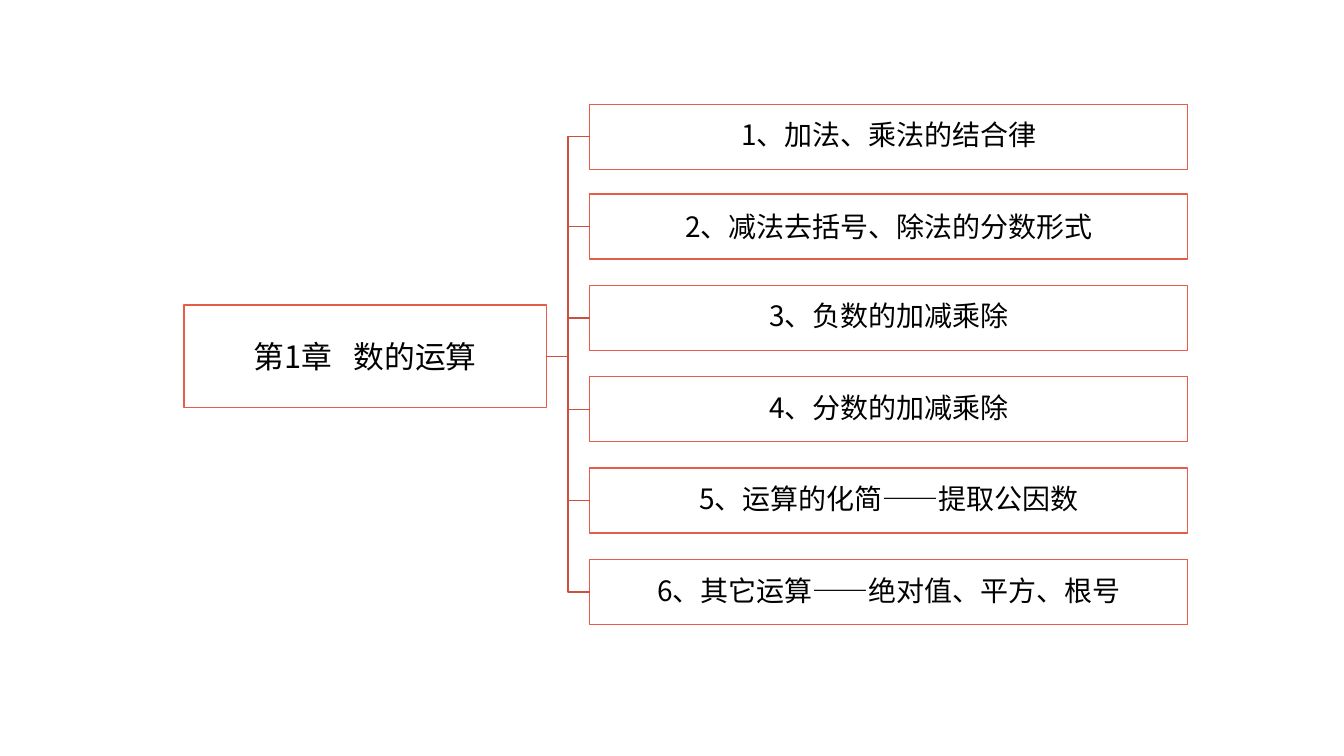
from dataclasses import dataclass

from pptx import Presentation, oxml, util as u
from pptx.dml.color import RGBColor
from pptx.enum import shapes, text

FONT = "Noto Sans CJK SC"
BLACK = RGBColor(0x00, 0x00, 0x00)
WHITE = RGBColor(0xFF, 0xFF, 0xFF)
BORDER = RGBColor(0xE7, 0x5B, 0x47)
BRANCH = RGBColor(0xCC, 0x50, 0x3E)

TOPIC_LEFT, TOPIC_WIDTH, TOPIC_HEIGHT = 11.7, 11.87, 1.29
FIRST_TOP, SECOND_TOP, LAST_TOP = 2.07, 3.85, 11.1
RIGHT_SITE, LEFT_SITE = 3, 1
WORD_GAP = 20

FRAME_FORMAT = {
    "word_wrap": True,
    "auto_size": text.MSO_AUTO_SIZE.NONE,
    "vertical_anchor": text.MSO_ANCHOR.MIDDLE,
    "margin_left": u.Inches(0.03),
    "margin_right": u.Inches(0.03),
    "margin_top": u.Inches(0.03),
    "margin_bottom": u.Inches(0.03),
}


@dataclass
class Topic:
    label: str
    line_spacing: float = 0.9


TOPICS = [
    Topic("1、加法、乘法的结合律"),
    Topic("2、减法去括号、除法的分数形式", 1.0),
    Topic("3、负数的加减乘除"),
    Topic("4、分数的加减乘除"),
    Topic("5、运算的化简——提取公因数"),
    Topic("6、其它运算——绝对值、平方、根号"),
]


def style_box(s, parts: list[str], size: int, line_spacing: float) -> None:
    s.fill.solid()
    s.fill.fore_color.rgb = WHITE
    s.line.color.rgb = BORDER
    s.line.width = u.Pt(2)
    tf = s.text_frame
    for name, value in FRAME_FORMAT.items():
        setattr(tf, name, value)
    p = tf.paragraphs[0]
    p.alignment = text.PP_ALIGN.CENTER
    p.line_spacing = line_spacing
    for part in parts:
        r = p.add_run()
        r.text = part
        for name, value in {"size": u.Pt(size), "name": FONT}.items():
            setattr(r.font, name, value)
        r.font.color.rgb = BLACK
        props = r._r.get_or_add_rPr()
        east_asian = oxml.xmlchemy.OxmlElement("a:ea")
        east_asian.set("typeface", FONT)
        props.append(east_asian)
        if part == " ":
            props.set("spc", str(WORD_GAP * 100))


def add_chapter(sld):
    s = sld.shapes.title
    s.left, s.top = u.Inches(3.65), u.Inches(6.05)
    s.width, s.height = u.Inches(7.2), u.Inches(2.04)
    style_box(s, ["第1章", " ", "数的运算"], 44, 1.0)
    return s


def add_topic(sld, topic: Topic, top: float):
    s = sld.shapes.add_shape(
        shapes.MSO_SHAPE.RECTANGLE,
        u.Inches(TOPIC_LEFT), u.Inches(top),
        u.Inches(TOPIC_WIDTH), u.Inches(TOPIC_HEIGHT),
    )
    s.shadow.inherit = False
    style_box(s, [topic.label], 40, topic.line_spacing)
    return s


def add_branch(sld, chapter, box) -> None:
    c = sld.shapes.add_connector(shapes.MSO_CONNECTOR.ELBOW, 0, 0, 0, 0)
    c.begin_connect(chapter, RIGHT_SITE)
    c.end_connect(box, LEFT_SITE)
    c.line.color.rgb = BRANCH
    c.line.width = u.Pt(2)
    c._element.spPr.append(oxml.xmlchemy.OxmlElement("a:effectLst"))


def main() -> None:
    prs = Presentation()
    prs.slide_width, prs.slide_height = u.Inches(26.67), u.Inches(15)
    sld = prs.slides.add_slide(prs.slide_layouts.get_by_name("Title Only"))
    chapter = add_chapter(sld)
    pitch = (LAST_TOP - SECOND_TOP) / (len(TOPICS) - 2)
    for i, topic in enumerate(TOPICS):
        top = SECOND_TOP + (i - 1) * pitch if i else FIRST_TOP
        add_branch(sld, chapter, add_topic(sld, topic, top))
    prs.save("out.pptx")


if __name__ == "__main__":
    main()
